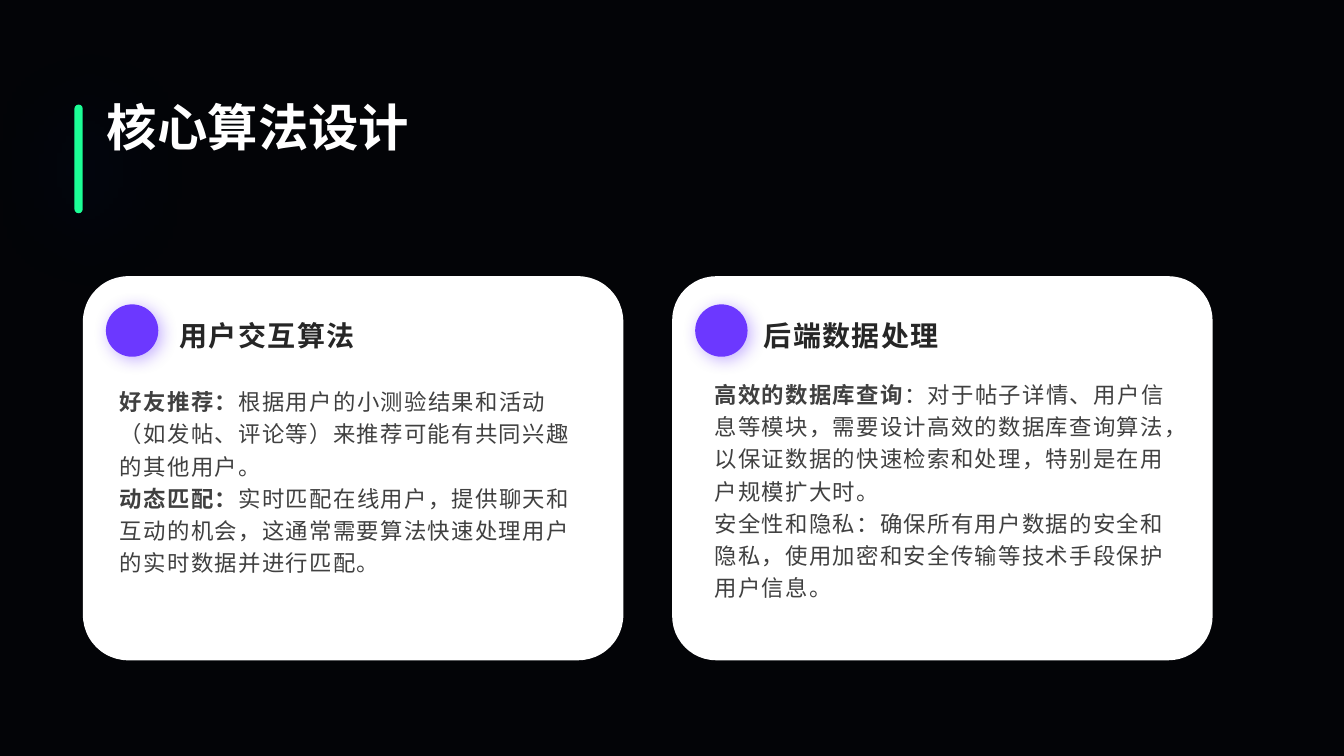
from lxml.etree import SubElement
from pptx import Presentation
from pptx.dml.color import RGBColor
from pptx.enum.lang import MSO_LANGUAGE_ID
from pptx.enum.shapes import MSO_SHAPE
from pptx.enum.text import MSO_ANCHOR, MSO_AUTO_SIZE, PP_ALIGN
from pptx.oxml.ns import qn
from pptx.util import Cm, Pt

COLORS = {
    "background": "030407",
    "card": "FFFFFF",
    "dot": "6C38FF",
    "bar": "1CFE96",
    "bar_glow": "0044ED",
    "title": "FFFFFF",
    "heading": "262626",
    "body": "404040",
}
COMPARISON_LAYOUT = 4

# Each paragraph is a list of (text, bold) runs.
CARDS = [
    {
        "left": 2.09, "radius": 0.118, "heading_left": 4.27,
        "heading": "用户交互算法",
        "body_left": 2.77, "body_top": 9.52,
        "body": [
            [("好友推荐：", True),
             ("根据用户的小测验结果和活动（如发帖、评论等）来推荐可能有共同兴趣的其他用户。", False)],
            [("动态匹配：", True),
             ("实时匹配在线用户，提供聊天和互动的机会，这通常需要算法快速处理用户的实时数据并进行匹配。", False)],
        ],
    },
    {
        "left": 16.94, "radius": 0.115, "heading_left": 18.99,
        "heading": "后端数据处理",
        "body_left": 17.75, "body_top": 9.34,
        "body": [
            [("高效的数据库查询", True),
             ("：对于帖子详情、用户信息等模块，需要设计高效的数据库查询算法，"
              "以保证数据的快速检索和处理，特别是在用户规模扩大时。", False)],
            [("安全性和隐私：确保所有用户数据的安全和隐私，使用加密和安全传输等技术手段保护用户信息。", False)],
        ],
    },
]


def rgb(name):
    return RGBColor.from_string(COLORS[name])


def add_filled_shape(slide, kind, box, color, radius=None):
    shape = slide.shapes.add_shape(kind, *(Cm(value) for value in box))
    shape.shadow.inherit = False
    shape.fill.solid()
    shape.fill.fore_color.rgb = rgb(color)
    shape.line.fill.background()
    if radius is not None:
        shape.adjustments[0] = radius
    return shape


def add_glow_shadow(shape, color, blur, distance):
    """Give the shape a soft outer shadow; blur and distance are in points."""
    effects = shape._element.spPr.find(qn("a:effectLst"))
    shadow = SubElement(
        effects, qn("a:outerShdw"), blurRad=str(Pt(blur)), dist=str(Pt(distance)),
        dir=str(45 * 60000), algn="tl", rotWithShape="0")
    tint = SubElement(shadow, qn("a:srgbClr"), val=COLORS[color])
    SubElement(tint, qn("a:alpha"), val="40000")


def fill_placeholder(slide, index, box, paragraphs, size, color,
                     line_spacing=1.0, tracking=0):
    """Move a placeholder to the front and fill it; tracking is in points."""
    placeholder = slide.placeholders[index]
    slide.shapes._spTree.append(placeholder._element)
    placeholder.left, placeholder.top, placeholder.width, placeholder.height = (
        Cm(value) for value in box)
    frame = placeholder.text_frame
    frame.word_wrap = True
    frame.auto_size = MSO_AUTO_SIZE.NONE
    frame.vertical_anchor = MSO_ANCHOR.TOP
    for number, runs in enumerate(paragraphs):
        paragraph = frame.add_paragraph() if number else frame.paragraphs[0]
        properties = paragraph._p.get_or_add_pPr()
        properties.set("marL", "0")
        properties.set("indent", "0")
        SubElement(properties, qn("a:buNone"))
        paragraph.alignment = PP_ALIGN.LEFT
        paragraph.line_spacing = line_spacing
        paragraph.space_before = Pt(0)
        for text, bold in runs:
            run = paragraph.add_run()
            run.text = text
            run.font.name = "Arial"
            run.font.size = Pt(size)
            run.font.bold = bold
            run.font.color.rgb = rgb(color)
            run.font.language_id = MSO_LANGUAGE_ID.SIMPLIFIED_CHINESE
            if tracking:
                run._r.get_or_add_rPr().set("spc", str(tracking * 100))


def add_card(slide, card, heading_index):
    left = card["left"]
    add_filled_shape(slide, MSO_SHAPE.ROUNDED_RECTANGLE,
                     (left, 6.96, 13.62, 9.68), "card", card["radius"])
    dot = add_filled_shape(slide, MSO_SHAPE.OVAL,
                           (left + 0.58, 7.67, 1.32, 1.32), "dot")
    add_glow_shadow(dot, "dot", blur=12, distance=3)
    fill_placeholder(slide, heading_index, (card["heading_left"], 7.9, 12.4, 1.3),
                     [[(card["heading"], True)]], 20, "heading", tracking=1)
    fill_placeholder(slide, heading_index + 1,
                     (card["body_left"], card["body_top"], 12.4, 3.66),
                     card["body"], 16, "body", line_spacing=1.2, tracking=1)


def add_title(slide):
    bar = add_filled_shape(slide, MSO_SHAPE.ROUNDED_RECTANGLE,
                           (0.61, 3.9, 2.74, 0.21), "bar", 0.5)
    bar.rotation = 90
    add_glow_shadow(bar, "bar_glow", blur=70, distance=11)
    fill_placeholder(slide, 0, (2.44, 2.3, 11.15, 3.58),
                     [[("核心算法设计", True)]], 36, "title")


def main():
    presentation = Presentation()
    presentation.slide_width = Cm(33.87)
    presentation.slide_height = Cm(19.05)
    slide = presentation.slides.add_slide(
        presentation.slide_layouts[COMPARISON_LAYOUT])
    slide.background.fill.solid()
    slide.background.fill.fore_color.rgb = rgb("background")
    for number, card in enumerate(CARDS):
        add_card(slide, card, heading_index=1 + 2 * number)
    add_title(slide)
    presentation.save("out.pptx")


if __name__ == "__main__":
    main()
